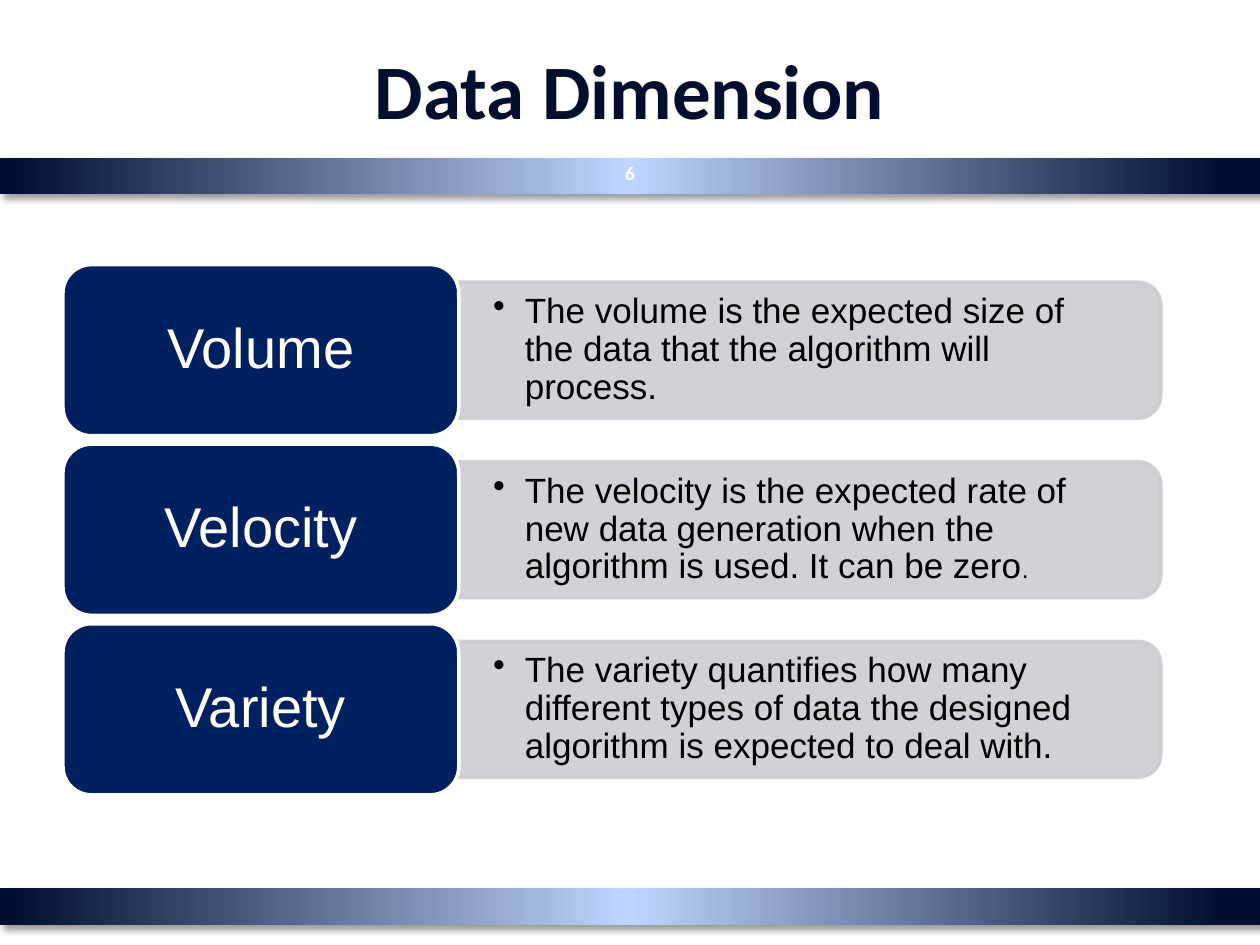
import dataclasses

import lxml.etree
import pptx
import pptx.dml.color
import pptx.enum.shapes
import pptx.enum.text
import pptx.oxml
import pptx.oxml.ns
import pptx.util

Cm = pptx.util.Cm
Pt = pptx.util.Pt
SHAPES = pptx.enum.shapes.MSO_SHAPE
ALIGN = pptx.enum.text.PP_ALIGN


@dataclasses.dataclass(frozen=True)
class Theme:
    navy: str = "000F2E"
    glow: str = "BFD5FF"
    label: str = "002060"
    panel: str = "CCCDD2"
    white: str = "FFFFFF"
    black: str = "000000"
    heading_font: str = "Calibri"
    body_font: str = "Arial"
    title_size: int = 44
    label_size: int = 32
    body_size: int = 20
    small_size: int = 14
    number_size: int = 11


class DimensionSlide:
    def __init__(self, deck, theme):
        self.theme = theme
        self.slide = deck.slides.add_slide(deck.slide_layouts[5])

    def color(self, value):
        return pptx.dml.color.RGBColor.from_string(value)

    def shape(self, kind, left, top, width, height):
        item = self.slide.shapes.add_shape(
            kind, Cm(left), Cm(top), Cm(width), Cm(height))
        item.shadow.inherit = False
        return item

    def paint(self, item, fill, line):
        item.fill.solid()
        item.fill.fore_color.rgb = self.color(fill)
        item.line.color.rgb = self.color(line)
        item.line.width = Pt(2)

    def frame(self, item, inset_x=0.25, inset_y=0.13):
        text = item.text_frame
        text.word_wrap = True
        text.vertical_anchor = pptx.enum.text.MSO_ANCHOR.MIDDLE
        text.margin_left = text.margin_right = Cm(inset_x)
        text.margin_top = text.margin_bottom = Cm(inset_y)
        return text.paragraphs[0]

    def run(self, paragraph, words, size, color, font, bold=False):
        run = paragraph.add_run()
        run.text = words
        run.font.size = Pt(size)
        run.font.name = font
        run.font.bold = bold
        run.font.color.rgb = self.color(color)

    def band(self, top):
        """Full-width bar, dark at both ends, with a soft shadow."""
        bar = self.shape(SHAPES.RECTANGLE, 0, top, 25.4, 0.74)
        bar.line.fill.background()
        bar.fill.gradient()
        properties = bar._element.spPr
        stops = properties.find(".//" + pptx.oxml.ns.qn("a:gsLst"))
        for stop in list(stops):
            stops.remove(stop)
        navy, glow = self.theme.navy, self.theme.glow
        for percent, value in ((0, navy), (3, navy), (50, glow), (99, navy), (100, navy)):
            stop = lxml.etree.SubElement(
                stops, pptx.oxml.ns.qn("a:gs"), pos=str(percent * 1000))
            lxml.etree.SubElement(stop, pptx.oxml.ns.qn("a:srgbClr"), val=value)
        bar.fill.gradient_angle = 180
        effects = properties.find(pptx.oxml.ns.qn("a:effectLst"))
        effects.append(pptx.oxml.parse_xml(
            f'<a:outerShdw {pptx.oxml.ns.nsdecls("a")} blurRad="{Pt(4)}" '
            f'dist="{Pt(3)}" dir="2700000" rotWithShape="0">'
            f'<a:srgbClr val="{self.theme.black}"><a:alpha val="40000"/></a:srgbClr>'
            '</a:outerShdw>'))

    def title(self, words):
        heading = self.slide.shapes.title
        heading.left, heading.top = Cm(1.27), Cm(0.2)
        heading.width, heading.height = Cm(22.86), Cm(3.18)
        paragraph = self.frame(heading)
        paragraph.alignment = ALIGN.CENTER
        self.run(paragraph, words, self.theme.title_size, self.theme.navy,
                 self.theme.heading_font, bold=True)

    def page_number(self, number):
        box = self.slide.shapes.add_textbox(Cm(12.17), Cm(2.97), Cm(1.06), Cm(1.02))
        paragraph = self.frame(box)
        paragraph.alignment = ALIGN.CENTER
        self.run(paragraph, number, self.theme.number_size, self.theme.white,
                 self.theme.heading_font, bold=True)

    def panel(self, middle):
        """Grey bar rounded at the right: an upright shape turned by 90 degrees."""
        length, thickness, left = 14.17, 2.74, 9.23
        bar = self.shape(SHAPES.ROUND_2_SAME_RECTANGLE,
                         left + (length - thickness) / 2, middle - length / 2,
                         thickness, length)
        bar.rotation = 90
        self.paint(bar, self.theme.panel, self.theme.panel)
        for tint in bar._element.spPr.iter(pptx.oxml.ns.qn("a:srgbClr")):
            lxml.etree.SubElement(tint, pptx.oxml.ns.qn("a:alpha"), val="90000")

    def description(self, middle, pieces):
        height = 2.49
        box = self.slide.shapes.add_textbox(
            Cm(9.25), Cm(middle - height / 2), Cm(14.02), Cm(height))
        paragraph = self.frame(box, 0.69, 0.36)
        paragraph.level = 1
        paragraph.line_spacing = 0.9
        layout = paragraph._p.get_or_add_pPr()
        layout.set("marL", str(Cm(0.64)))
        layout.set("indent", str(-Cm(0.64)))
        lxml.etree.SubElement(layout, pptx.oxml.ns.qn("a:buChar"), char="•")
        for words, size in pieces:
            self.run(paragraph, words, size, self.theme.black, self.theme.body_font)

    def label(self, middle, name):
        height = 3.45
        tile = self.shape(SHAPES.ROUNDED_RECTANGLE, 1.27, middle - height / 2, 7.98, height)
        self.paint(tile, self.theme.label, self.theme.white)
        paragraph = self.frame(tile, 0.33, 0.18)
        paragraph.alignment = ALIGN.CENTER
        paragraph.line_spacing = 0.9
        self.run(paragraph, name, self.theme.label_size, self.theme.white,
                 self.theme.body_font)


def main():
    deck = pptx.Presentation()
    deck.slide_width, deck.slide_height = Cm(25.4), Cm(19.05)
    theme = Theme()
    page = DimensionSlide(deck, theme)

    # Bands, title and page number
    for top in (17.91, 3.18):
        page.band(top)
    page.title("Data Dimension")
    page.page_number("6")

    # One row per dimension, evenly spaced
    body = theme.body_size
    dimensions = (
        ("Volume", [("The volume is the expected size of the data that the "
                     "algorithm will process.", body)]),
        ("Velocity", [("The velocity is the expected rate of new data generation "
                       "when the algorithm is used. It can be zero", body),
                      (".", theme.small_size)]),
        ("Variety", [("The variety quantifies how many different types of data the "
                      "designed algorithm is expected to deal with.", body)]),
    )
    first_middle, pitch = 7.06, 3.62
    for row, (name, pieces) in enumerate(dimensions):
        middle = first_middle + row * pitch
        page.panel(middle)
        page.description(middle, pieces)
        page.label(middle, name)

    deck.save("out.pptx")


if __name__ == "__main__":
    main()
